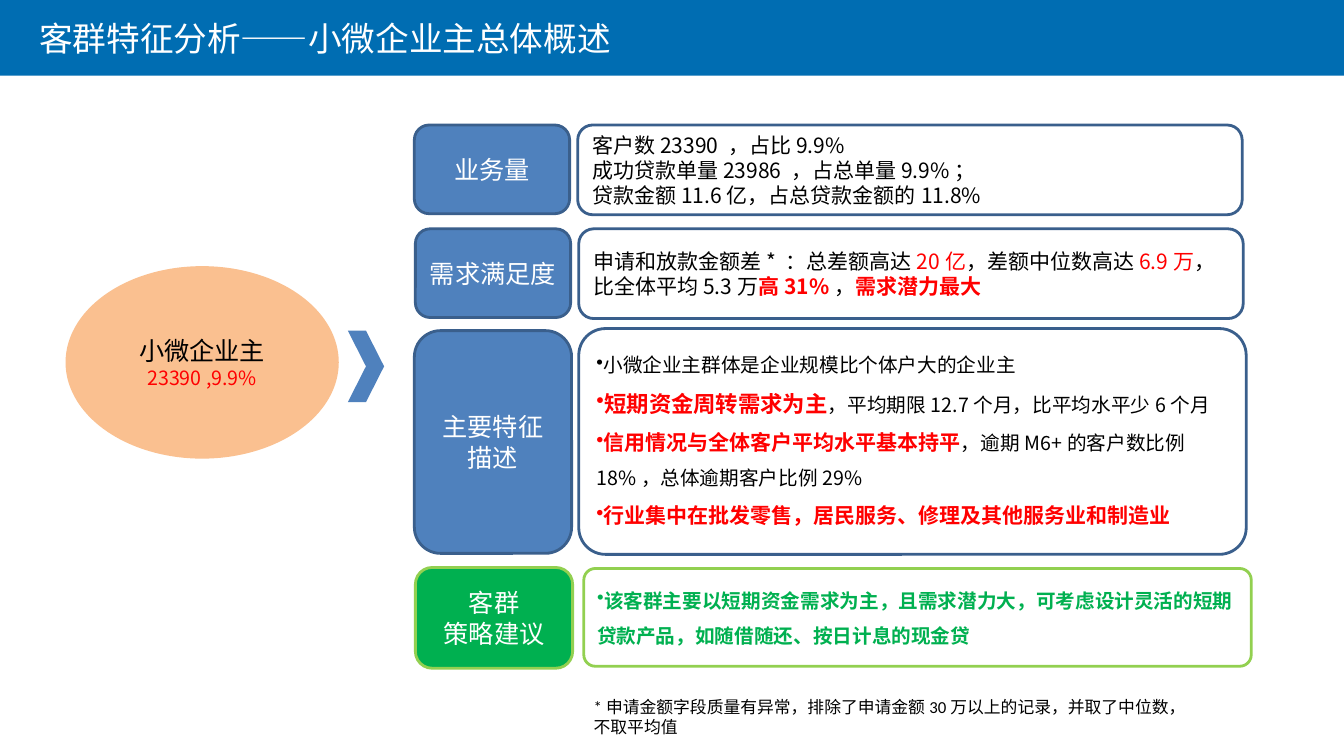
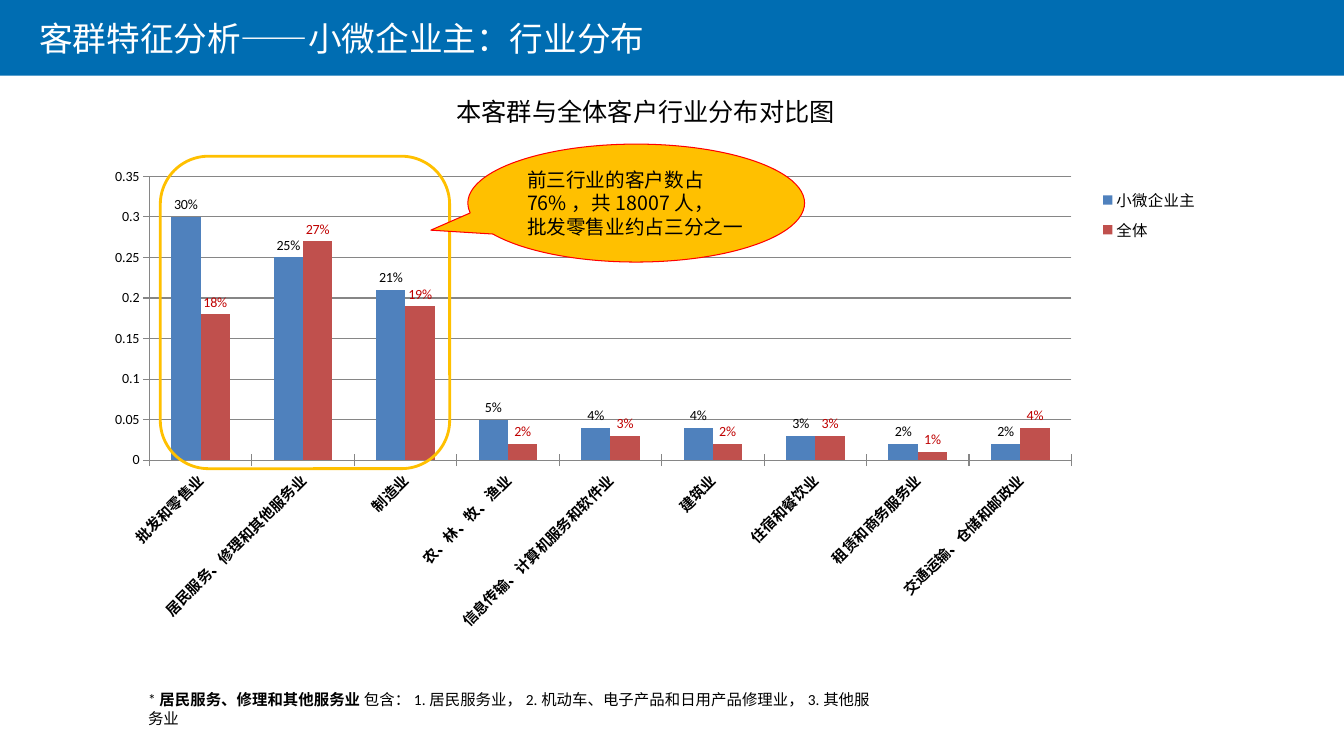
"""Build two slides on the small-business-owner customer group."""
from lxml import etree
from pptx import Presentation
from pptx import util as u
from pptx.chart.data import CategoryChartData
from pptx.dml.color import RGBColor
from pptx.enum import chart as charts, shapes, text
from pptx.oxml import ns

COLORS = {
    "band": "006DB2", "blue": "4F81BD", "outline": "3A5F8C", "peach": "FAC090",
    "red": "FF0000", "brick": "C0504D", "dark_red": "C00000", "green": "00B050",
    "lime": "92D050", "amber": "FFC000", "grey": "868686",
    "black": "000000", "white": "FFFFFF",
}
CJK = "Noto Sans CJK SC"
LATIN = "Calibri"
SHAPE = shapes.MSO_SHAPE
RED = {"color": "red"}
STRONG = {"color": "red", "bold": True}

OVERVIEW_TITLE = "客群特征分析——小微企业主总体概述"
GROUP = ["小微企业主", [("23390 ,9.9%", {"size": 14, "color": "red"})]]
BLUE_ROW = {"fill": "blue", "line": "outline"}
GREEN_ROW = {"fill": "green", "line": "lime"}
BULLETED = {"size": 14, "bullet": True, "spacing": 1.5, "anchor": "TOP"}
ROWS = [
    (["业务量"], (4.11, 1.24, 1.54, 0.88), BLUE_ROW,
     ["客户数23390 ，占比9.9%", "成功贷款单量23986 ，占总单量9.9%；",
      "贷款金额11.6亿，占总贷款金额的11.8%"],
     (5.73, 1.24, 6.59, 0.89), {"size": 15}),
    (["需求满足度"], (4.12, 2.27, 1.54, 0.88), BLUE_ROW,
     [[("申请和放款金额差* ：总差额高达", {}), ("20亿", RED),
       ("，差额中位数高达", {}), ("6.9万", RED), ("，比全体平均5.3万", {}),
       ("高31%", STRONG), ("，", {}), ("需求潜力最大", STRONG)]],
     (5.74, 2.27, 6.59, 0.89), {"size": 15}),
    (["主要特征描述"], (4.11, 3.28, 1.56, 2.21), BLUE_ROW,
     ["小微企业主群体是企业规模比个体户大的企业主",
      [("短期资金周转需求为主", {**STRONG, "size": 16}),
       ("，平均期限12.7个月，比平均水平少6个月", {})],
      [("信用情况与全体客户平均水平基本持平", {**STRONG, "size": 15}),
       ("，逾期M6+的客户数比例18%，总体逾期客户比例29%", {})],
      [("行业集中在批发零售，居民服务、修理及其他服务业和制造业",
        {**STRONG, "size": 15})]],
     (5.74, 3.26, 6.62, 2.24), {**BULLETED, "adjustments": [0.118]}),
    (["客群", "策略建议"], (4.12, 5.63, 1.56, 1), GREEN_ROW,
     ["该客群主要以短期资金需求为主，且需求潜力大，可考虑设计灵活的短期贷款产品，"
      "如随借随还、按日计息的现金贷"],
     (5.79, 5.64, 6.62, 0.97),
     {**BULLETED, "adjustments": [0.118], "color": "green", "bold": True}),
]
OVERVIEW_NOTE = ["*申请金额字段质量有异常，排除了申请金额30万以上的记录，"
                 "并取了中位数，不取平均值"]

INDUSTRY_TITLE = "客群特征分析——小微企业主：行业分布"
CHART_TITLE = ["本客群与全体客户行业分布对比图"]
INDUSTRIES = [
    ("批发和零售业", 0.3, 0.18),
    ("居民服务、修理和其他服务业", 0.25, 0.27),
    ("制造业", 0.21, 0.19),
    ("农、林、牧、渔业", 0.05, 0.02),
    ("信息传输、计算机服务和软件业", 0.04, 0.03),
    ("建筑业", 0.04, 0.02),
    ("住宿和餐饮业", 0.03, 0.03),
    ("租赁和商务服务业", 0.02, 0.01),
    ("交通运输、仓储和邮政业", 0.02, 0.04),
]
SERIES = [("小微企业主", "blue", "black"), ("全体", "brick", "dark_red")]
CALLOUT = ["前三行业的客户数占76%，共18007人，", "批发零售业约占三分之一"]
INDUSTRY_NOTE = [[("*", {}), ("居民服务、修理和其他服务业 ", {"bold": True}),
                  ("包含：1.居民服务业，2.机动车、电子产品和日用产品修理业，"
                   "3.其他服务业", {})]]


def rgb(name):
    """Return the palette colour with this name."""
    return RGBColor.from_string(COLORS[name])


def inches(box):
    """Convert a left, top, width, height tuple to lengths."""
    return [u.Inches(value) for value in box]


def style_run(run, size, color, bold, font):
    """Set the font of a run for Latin and East Asian text."""
    run.font.size, run.font.bold, run.font.name = u.Pt(size), bold, font
    run.font.color.rgb = rgb(color)
    etree.SubElement(run.font._element, ns.qn("a:ea"), typeface=CJK)


def write(frame, paragraphs, size=18, color="black", bold=False, font=CJK,
          align="LEFT", anchor="MIDDLE", bullet=False, spacing=None):
    """Fill a text frame; a paragraph is a string or a list of runs."""
    frame.word_wrap = True
    frame.auto_size = text.MSO_AUTO_SIZE.NONE
    frame.vertical_anchor = text.MSO_ANCHOR[anchor]
    base = {"size": size, "color": color, "bold": bold, "font": font}
    for index, runs in enumerate(paragraphs):
        paragraph = frame.add_paragraph() if index else frame.paragraphs[0]
        paragraph.alignment = text.PP_ALIGN[align]
        if spacing:
            paragraph.line_spacing = spacing
        if bullet:
            properties = paragraph._p.get_or_add_pPr()
            etree.SubElement(properties, ns.qn("a:buChar"), char="•")
        for content, changes in [(runs, {})] if isinstance(runs, str) else runs:
            run = paragraph.add_run()
            run.text = content
            style_run(run, **{**base, **changes})


def add_shape(slide, kind, box, fill=None, line=None, width=2,
              adjustments=(), paragraphs=(), **style):
    """Add a preset shape with optional fill, outline and text."""
    shape = slide.shapes.add_shape(kind, *inches(box))
    shape.shadow.inherit = False
    if fill:
        shape.fill.solid()
        shape.fill.fore_color.rgb = rgb(fill)
    else:
        shape.fill.background()
    if line:
        shape.line.color.rgb = rgb(line)
        shape.line.width = u.Pt(width)
    else:
        shape.line.fill.background()
    for index, value in enumerate(adjustments):
        shape.adjustments[index] = value
    if paragraphs:
        write(shape.text_frame, paragraphs, **style)
    return shape


def add_text(slide, box, paragraphs, **style):
    """Add a text box anchored at its top."""
    frame = slide.shapes.add_textbox(*inches(box)).text_frame
    write(frame, paragraphs, anchor="TOP", **style)


def add_slide(presentation, title):
    """Add a slide with the blue band behind its title."""
    slide = presentation.slides.add_slide(presentation.slide_layouts[5])
    band = add_shape(slide, SHAPE.RECTANGLE, (0, 0, 13.33, 0.75), "band")
    slide.shapes._spTree.insert(2, band._element)
    holder = slide.shapes.title
    holder.left, holder.top, holder.width, holder.height = inches(
        (0.29, 0.13, 9.61, 0.5))
    write(holder.text_frame, [title], size=24, color="white", anchor="TOP")
    return slide


def place(element, x, y, w, h, inner=False):
    """Fix the position of a chart part as fractions of the chart."""
    for old in element.findall(ns.qn("c:layout")):
        element.remove(old)
    layout = etree.Element(ns.qn("c:layout"))
    manual = etree.SubElement(layout, ns.qn("c:manualLayout"))
    settings = [("layoutTarget", "inner")] if inner else []
    settings += [("xMode", "edge"), ("yMode", "edge"),
                 ("x", x), ("y", y), ("w", w), ("h", h)]
    for tag, value in settings:
        etree.SubElement(manual, ns.qn("c:" + tag), val=str(value))
    position = element.find(ns.qn("c:legendPos"))
    if position is None:
        element.insert(0, layout)
    else:
        position.addnext(layout)


def add_industry_chart(slide):
    """Add the column chart comparing the group with all customers."""
    names, *columns = zip(*INDUSTRIES)
    data = CategoryChartData(number_format="General")
    data.categories = names
    for (name, _, _), values in zip(SERIES, columns):
        data.add_series(name, values)
    chart = slide.shapes.add_chart(
        charts.XL_CHART_TYPE.COLUMN_CLUSTERED,
        *inches((0.93, 1.56, 11.02, 4.77)), data).chart
    chart.has_title = False
    chart.font.size, chart.font.name = u.Pt(10), LATIN
    chart.font.color.rgb = rgb("black")
    plot = chart.plots[0]
    plot.gap_width, plot.overlap, plot.vary_by_categories = 150, 0, False
    for series, (_, fill, label) in zip(plot.series, SERIES):
        series.format.fill.solid()
        series.format.fill.fore_color.rgb = rgb(fill)
        labels = series.data_labels
        labels.show_value = True
        labels.number_format, labels.number_format_is_linked = "0%", False
        labels.position = charts.XL_LABEL_POSITION.OUTSIDE_END
        labels.font.size = u.Pt(10)
        labels.font.color.rgb = rgb(label)
    values, categories = chart.value_axis, chart.category_axis
    values.minimum_scale, values.maximum_scale, values.major_unit = 0, 0.35, 0.05
    values.has_major_gridlines = True
    for line in (values.format.line, categories.format.line,
                 values.major_gridlines.format.line):
        line.color.rgb = rgb("grey")
        line.width = u.Pt(0.75)
    for axis in (values, categories):
        axis.major_tick_mark = charts.XL_TICK_MARK.CROSS
    categories.tick_labels.font.size = u.Pt(10.5)
    categories.tick_labels.font.bold = True
    body = categories._element.find(ns.qn("c:txPr")).find(ns.qn("a:bodyPr"))
    body.set("rot", "-2700000")
    body.set("vert", "horz")
    chart.has_legend = True
    chart.legend.position = charts.XL_LEGEND_POSITION.RIGHT
    chart.legend.include_in_layout = False
    chart.legend.font.size = u.Pt(11)
    place(chart.legend._element, 0.9, 0.05, 0.1, 0.14)
    plot_area = chart._chartSpace.chart.plotArea
    place(plot_area, 0.05, 0.04, 0.83, 0.59, inner=True)


def build_overview(presentation):
    """Build the slide that sums up the customer group."""
    slide = add_slide(presentation, OVERVIEW_TITLE)
    add_shape(slide, SHAPE.OVAL, (0.65, 2.64, 2.71, 1.91), "peach",
              paragraphs=GROUP, align="CENTER")
    add_shape(slide, SHAPE.CHEVRON, (3.45, 3.28, 0.36, 0.71), "blue")
    for label, label_box, colors, body, body_box, style in ROWS:
        add_shape(slide, SHAPE.ROUNDED_RECTANGLE, label_box, **colors,
                  paragraphs=label, color="white", align="CENTER")
        add_shape(slide, SHAPE.ROUNDED_RECTANGLE, body_box, "white",
                  colors["line"], paragraphs=body, **style)
    add_text(slide, (5.79, 6.86, 6.04, 0.5), OVERVIEW_NOTE, size=12, font=LATIN)


def build_industries(presentation):
    """Build the slide that compares industries."""
    slide = add_slide(presentation, INDUSTRY_TITLE)
    add_industry_chart(slide)
    add_shape(slide, SHAPE.ROUNDED_RECTANGLE, (1.59, 1.55, 2.87, 3.1),
              line="amber")
    add_shape(slide, SHAPE.OVAL_CALLOUT, (4.64, 1.43, 3.34, 1.17), "amber",
              "red", 0.75, (-0.61, 0.23), CALLOUT, size=14)
    add_text(slide, (1.37, 6.8, 7.45, 0.29), INDUSTRY_NOTE, size=11, font=LATIN)
    add_text(slide, (4.43, 0.91, 4.01, 0.4), CHART_TITLE)


def main():
    """Build and save the presentation."""
    presentation = Presentation()
    presentation.slide_width = u.Inches(13.33)
    presentation.slide_height = u.Inches(7.5)
    build_overview(presentation)
    build_industries(presentation)
    presentation.save("out.pptx")


if __name__ == "__main__":
    main()
